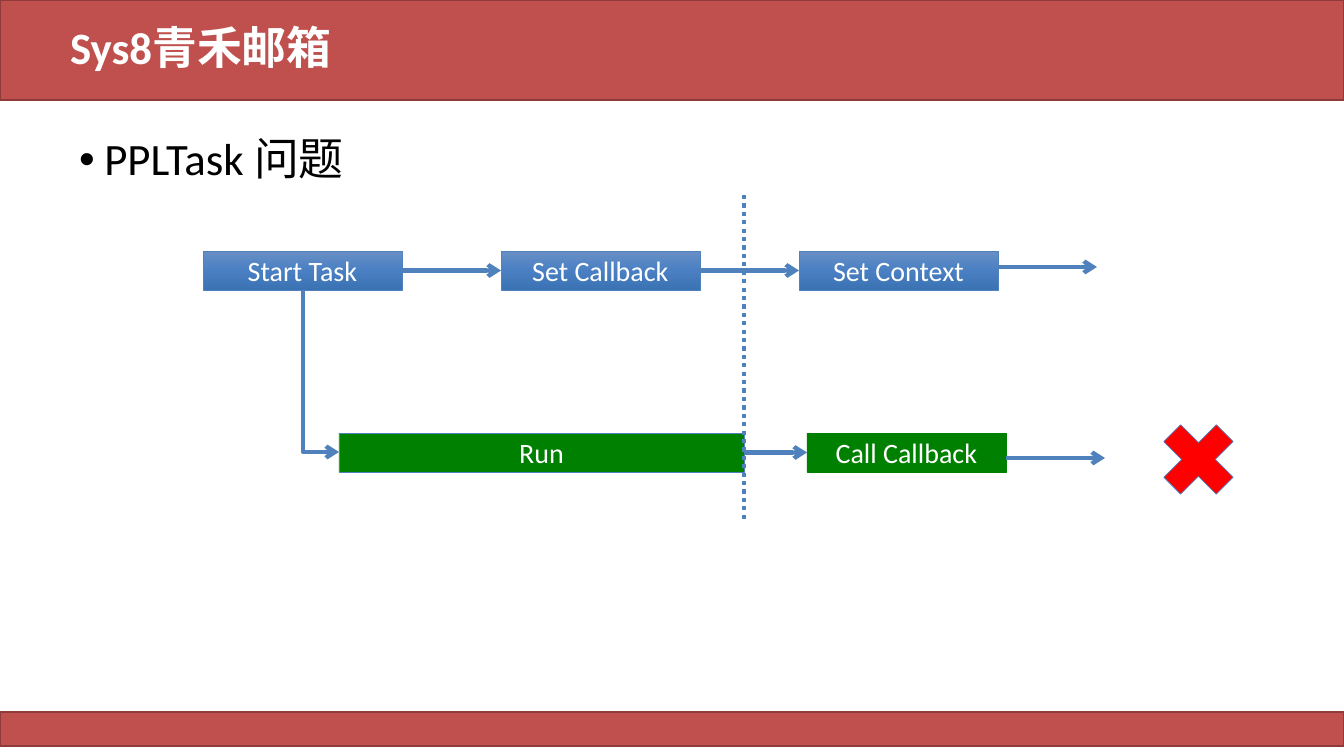
from copy import deepcopy

from pptx import Presentation
from pptx.dml.color import RGBColor
from pptx.enum.dml import MSO_LINE
from pptx.enum.shapes import MSO_CONNECTOR, MSO_SHAPE
from pptx.enum.text import MSO_ANCHOR, PP_ALIGN
from pptx.oxml.ns import qn
from pptx.oxml.xmlchemy import OxmlElement
from pptx.util import Pt

RECT, CROSS = MSO_SHAPE.RECTANGLE, MSO_SHAPE.MATH_MULTIPLY
LINE, ELBOW = MSO_CONNECTOR.STRAIGHT, MSO_CONNECTOR.ELBOW
DOTS = MSO_LINE.ROUND_DOT
LEFT, CENTER = PP_ALIGN.LEFT, PP_ALIGN.CENTER
MIDDLE, TOP = MSO_ANCHOR.MIDDLE, MSO_ANCHOR.TOP
WHITE, BLACK = RGBColor(255, 255, 255), RGBColor(0, 0, 0)
BRICK, RUST = RGBColor(0xC0, 0x50, 0x4D), RGBColor(0x8E, 0x3B, 0x39)
BLUE, GREEN = RGBColor(0x4F, 0x81, 0xBD), RGBColor(0, 0x80, 0)
RED = RGBColor(255, 0, 0)
SHADES = (RGBColor(0x68, 0x8F, 0xC5), RGBColor(0x4A, 0x80, 0xC3),
          RGBColor(0x3B, 0x72, 0xB3))
WIDE, HIGH = 1344, 756
BOX_W, BOX_H = 199, 39
SITE_LEFT, SITE_BASE, SITE_RIGHT = 1, 2, 3


def px(n):
    """Turn px into EMU."""
    return round(n * 12192000 / WIDE)


def place(shape, box):
    """Move a shape to a px box."""
    shape.left, shape.top, shape.width, shape.height = map(px, box)


def style(frame, text, size, color, align, anchor, bold=False):
    """Fill a text frame with one styled paragraph."""
    frame.text = text
    frame.vertical_anchor = anchor
    para = frame.paragraphs[0]
    para.alignment = align
    font = para.font
    font.name, font.size, font.bold = "Calibri", Pt(size), bold
    font.color.rgb = color
    return para


def shade(shape):
    """Give a shape the vertical blue gradient."""
    fill = shape.fill
    fill.gradient()
    fill.gradient_angle = 270
    stops = shape._element.spPr.find(qn("a:gradFill")).find(qn("a:gsLst"))
    stops.insert(1, deepcopy(stops[0]))
    for i, (stop, color) in enumerate(zip(fill.gradient_stops, SHADES)):
        stop.color.rgb = color
        stop.position = i / 2


def draw(slide, kind, box, fill, edge, width=0.5):
    """Add a flat shape, shaded when no fill is given."""
    shape = slide.shapes.add_shape(kind, *map(px, box))
    shape.shadow.inherit = False
    if fill is None:
        shade(shape)
    else:
        shape.fill.solid()
        shape.fill.fore_color.rgb = fill
    shape.line.color.rgb = edge
    shape.line.width = Pt(width)
    return shape


def step(slide, text, box, fill=None, edge=BLUE):
    """Add a labelled step of the flow."""
    shape = draw(slide, RECT, box, fill, edge)
    style(shape.text_frame, text, 20, WHITE, CENTER, MIDDLE)
    return shape


def rule(slide, kind, ends, arrow=True):
    """Add a blue connector between two px points."""
    link = slide.shapes.add_connector(kind, *map(px, ends))
    link._element.spPr.append(OxmlElement("a:effectLst"))
    link.line.color.rgb = BLUE
    link.line.width = Pt(3)
    if arrow:
        tail = OxmlElement("a:tailEnd")
        tail.set("type", "arrow")
        link.line._get_or_add_ln().append(tail)
    return link


def join(slide, start, end):
    """Join two steps from right side to left side."""
    link = rule(slide, LINE, (0, 0, 0, 0))
    link.begin_connect(start, SITE_RIGHT)
    link.end_connect(end, SITE_LEFT)


def turn(slide, start, end, box):
    """Join the base of a step to the left of a lower one."""
    x, y, w, h = box
    link = rule(slide, ELBOW, (0, 0, 1, 1))
    link.begin_connect(start, SITE_BASE)
    link.end_connect(end, SITE_LEFT)
    place(link, (x + (w - h) / 2, y + (h - w) / 2, h, w))
    props = link._element.spPr
    props.find(qn("a:prstGeom")).set("prst", "bentConnector2")
    frame = props.find(qn("a:xfrm"))
    frame.set("rot", "16200000")
    frame.set("flipH", "1")


def bands(slide):
    """Put the red bands behind everything."""
    for y, h in ((0, 100), (712, 34)):
        band = draw(slide, RECT, (0, y, WIDE, h), BRICK, RUST, 1)
        slide.shapes._spTree.insert(2, band._element)


def heading(slide, box, text):
    """Set the title."""
    title = slide.shapes.title
    place(title, box)
    para = style(title.text_frame, text, 32, WHITE, LEFT, MIDDLE, True)
    para.line_spacing = 0.9


def points(slide, box, text):
    """Set the bullet list."""
    body = slide.placeholders[1]
    place(body, box)
    para = style(body.text_frame, text, 32, BLACK, LEFT, TOP)
    para.line_spacing = 0.9
    para.space_before = Pt(10)
    props = para._p.get_or_add_pPr()
    props.set("marL", "228600")
    props.set("indent", "-228600")


def flow(slide, box):
    """Draw the two task lanes and the moment that splits them."""
    x, y, w, h = box
    top, low, cut = y + 56, y + 238, x + 541
    names = ("Start Task", "Set Callback", "Set Context")
    start, hook, last = [
        step(slide, name, (x + i * 298, top, BOX_W, BOX_H))
        for i, name in enumerate(names)]
    run = step(slide, "Run", (x + 136, low, 405, BOX_H), GREEN)
    call = step(slide, "Call Callback", (x + 604, low, BOX_W, BOX_H),
                GREEN, GREEN)
    for pair in ((start, hook), (hook, last), (run, call)):
        join(slide, *pair)
    turn(slide, start, run, (x + 100, top + BOX_H, 36, 162))
    split = rule(slide, LINE, (cut, y, cut, y + h), False)
    split.line.dash_style = DOTS
    for left, mid in ((x + 795, y + 72), (x + 803, y + 263)):
        rule(slide, LINE, (left, mid, left + 99, mid))
    draw(slide, CROSS, (x + w - 101, y + 214, 101, 101), RED, BLUE)


def main():
    """Build the slide and save it."""
    deck = Presentation()
    deck.slide_width, deck.slide_height = px(WIDE), px(HIGH)
    slide = deck.slides.add_slide(deck.slide_layouts[1])
    bands(slide)
    heading(slide, (60, 20, 1159, 59), "Sys8青禾邮箱")
    points(slide, (69, 132, 1238, 532), "PPLTask 问题")
    flow(slide, (203, 195, 1046, 326))
    deck.save("out.pptx")


if __name__ == "__main__":
    main()
